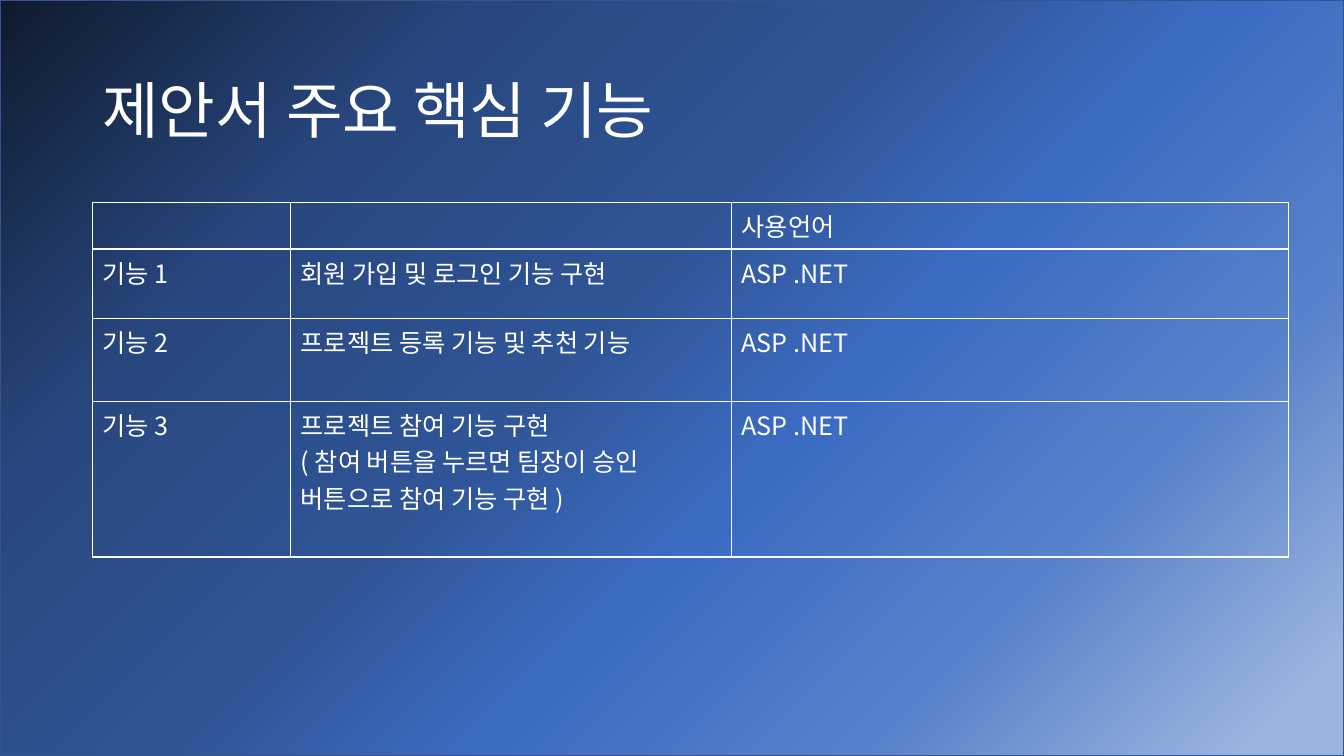
from lxml import etree
from pptx import Presentation
from pptx import util as u
from pptx.dml.color import RGBColor
from pptx.enum import shapes, text
from pptx.oxml import ns

WHITE = RGBColor(0xFF, 0xFF, 0xFF)
EDGE = RGBColor(0x32, 0x54, 0x91)
# Background gradient: position in percent, colour
GRADIENT = [
    (5, RGBColor(0x9A, 0xB4, 0xDE)),
    (23, RGBColor(0x57, 0x81, 0xCA)),
    (41, RGBColor(0x3C, 0x6C, 0xC2)),
    (56, RGBColor(0x2F, 0x55, 0x97)),
    (77, RGBColor(0x28, 0x47, 0x7E)),
    (100, RGBColor(0x0F, 0x1A, 0x2F)),
]
WIDTH, HEIGHT = 960, 540


def sub(parent, tag, **attrs):
    return etree.SubElement(parent, ns.qn(tag), attrs)


class Deck:
    font = "Noto Sans CJK KR"
    color = WHITE
    body_size = 18
    line_width = 1

    def __init__(self, slide):
        self.slide = slide

    def add_text(self, p, words, size):
        r = p.add_run()
        r.text = words
        r.font.size = u.Pt(size)
        r.font.name = self.font
        r.font.color.rgb = self.color
        sub(r.font._element, "a:ea", typeface=self.font)

    def backdrop(self, stops, angle):
        sp = self.slide.shapes.add_shape(
            shapes.MSO_SHAPE.RECTANGLE, 0, 0, u.Pt(WIDTH), u.Pt(HEIGHT))
        sp.shadow.inherit = False
        sp.line.color.rgb = EDGE
        sp.line.width = u.Pt(self.line_width)
        sp.fill.gradient()
        sp.fill.gradient_angle = angle
        gs_list = sp._element.spPr.find(".//" + ns.qn("a:gsLst"))
        for gs in list(gs_list):
            gs_list.remove(gs)
        for pos, rgb in stops:
            gs = sub(gs_list, "a:gs", pos=str(pos * 1000))
            sub(gs, "a:srgbClr", val=str(rgb))

    def title(self, words, x, y, w, h, size):
        sp = self.slide.shapes.add_textbox(u.Pt(x), u.Pt(y), u.Pt(w), u.Pt(h))
        tf = sp.text_frame
        tf.word_wrap = True
        tf.vertical_anchor = text.MSO_ANCHOR.MIDDLE
        p = tf.paragraphs[0]
        p.line_spacing = 0.9
        self.add_text(p, words, size)

    def borders(self, cell):
        tc_pr = cell._tc.get_or_add_tcPr()
        for side in "LRTB":
            ln = sub(tc_pr, "a:ln" + side, w=str(u.Pt(self.line_width)))
            sub(sub(ln, "a:solidFill"), "a:srgbClr", val=str(self.color))

    def table(self, rows, x, y, widths, heights):
        table = self.slide.shapes.add_table(
            len(rows), len(widths), u.Pt(x), u.Pt(y),
            u.Pt(sum(widths)), u.Pt(sum(heights))).table
        table.first_row = table.horz_banding = False
        for col, w in zip(table.columns, widths):
            col.width = u.Pt(w)
        for row, h, entries in zip(table.rows, heights, rows):
            row.height = u.Pt(h)
            for cell, entry in zip(row.cells, entries):
                self.borders(cell)
                cell.fill.background()
                tf = cell.text_frame
                for i, words in enumerate(entry.split("\n")):
                    p = tf.add_paragraph() if i else tf.paragraphs[0]
                    p.font.size = u.Pt(self.body_size)
                    if words:
                        self.add_text(p, words, self.body_size)


def main():
    prs = Presentation()
    prs.slide_width, prs.slide_height = u.Pt(WIDTH), u.Pt(HEIGHT)
    deck = Deck(prs.slides.add_slide(prs.slide_layouts[6]))

    # Background and heading
    deck.backdrop(GRADIENT, 135)
    deck.title("제안서 주요 핵심 기능", 66, 28.75, 828, 104.4, 44)

    # Feature table
    features = [
        "회원 가입 및 로그인 기능 구현",
        "프로젝트 등록 기능 및 추천 기능",
        "프로젝트 참여 기능 구현\n"
        "( 참여 버튼을 누르면 팀장이 승인 버튼으로 참여 기능 구현 )",
    ]
    rows = [("", "", "사용언어")]
    rows += [(f"기능 {n}", feature, "ASP .NET")
             for n, feature in enumerate(features, 1)]
    deck.table(rows, 66, 144.6, [141.6, 315, 397.6], [33.3, 49.4, 59.3, 111.4])

    prs.save("out.pptx")


if __name__ == "__main__":
    main()
